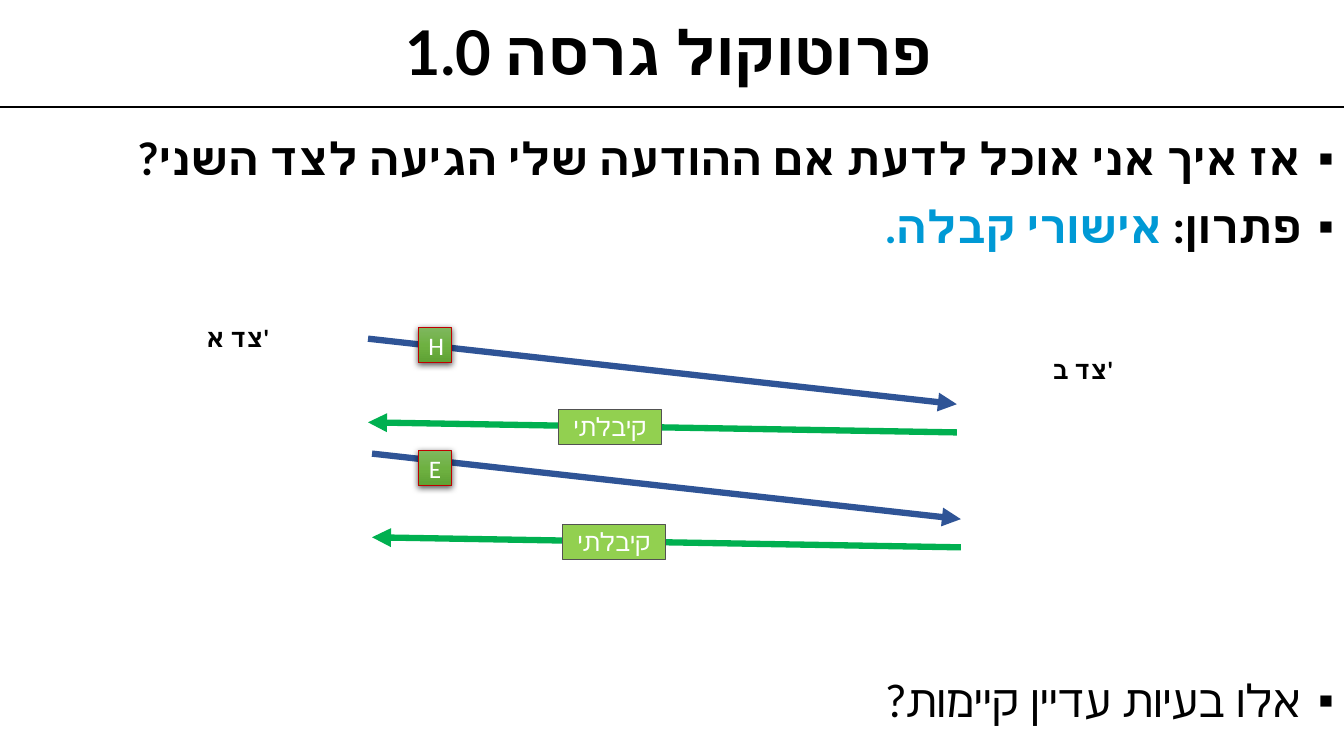
import copy

import lxml.etree
import pptx
import pptx.dml.color
import pptx.enum.shapes
import pptx.enum.text
import pptx.oxml.ns
import pptx.util

Inches = pptx.util.Inches
Pt = pptx.util.Pt
RGBColor = pptx.dml.color.RGBColor
qn = pptx.oxml.ns.qn
ALIGN = pptx.enum.text.PP_ALIGN
ANCHOR = pptx.enum.text.MSO_ANCHOR

BLACK = RGBColor(0x00, 0x00, 0x00)
WHITE = RGBColor(0xFF, 0xFF, 0xFF)
ACCENT = RGBColor(0x00, 0x99, 0xD5)
MESSAGE_BLUE = RGBColor(0x2F, 0x54, 0x96)
REPLY_GREEN = RGBColor(0x00, 0xB0, 0x50)
REPLY_FILL = RGBColor(0x92, 0xD0, 0x50)
REPLY_BORDER = RGBColor(0x52, 0x52, 0x52)
LETTER_BORDER = RGBColor(0xC0, 0x00, 0x00)
LETTER_STOPS = [
    (0, RGBColor(0x7F, 0xB7, 0x5F)),
    (0.5, RGBColor(0x6E, 0xB1, 0x41)),
    (1, RGBColor(0x5F, 0xA1, 0x34)),
]


class ProtocolSlide:
    heading_font = "Lato"
    label_font = "Calibri"

    def __init__(self, presentation):
        self.slide = presentation.slides.add_slide(presentation.slide_layouts[1])

    def format_run(self, run, name, size, color, bold=False):
        run.font.name = name
        run.font.size = Pt(size)
        run.font.bold = bold
        run.font.color.rgb = color
        complex_font = lxml.etree.SubElement(run.font._element, qn("a:cs"))
        complex_font.set("typeface", name)

    def place(self, shape, left, top, width, height, anchor):
        shape.left, shape.top = Inches(left), Inches(top)
        shape.width, shape.height = Inches(width), Inches(height)
        shape.text_frame.auto_size = pptx.enum.text.MSO_AUTO_SIZE.NONE
        shape.text_frame.vertical_anchor = anchor

    def title(self, text):
        title = self.slide.shapes.title
        self.place(title, 0, 0.04, 13.26, 1.02, ANCHOR.MIDDLE)
        title.text_frame.text = text
        paragraph = title.text_frame.paragraphs[0]
        paragraph._p.get_or_add_pPr().set("rtl", "1")
        paragraph.alignment = ALIGN.CENTER
        paragraph.line_spacing = 0.9
        self.format_run(paragraph.runs[0], self.heading_font, 44, BLACK, True)

    def bullets(self, items):
        body = self.slide.placeholders[1]
        self.place(body, 0, 1.25, 13.33, 6.1, ANCHOR.TOP)
        body.text_frame.text = "\n".join("" for item in items)
        for paragraph, (space, runs) in zip(body.text_frame.paragraphs, items):
            properties = paragraph._p.get_or_add_pPr()
            properties.set("rtl", "1")
            properties.set("marL", str(Inches(0.32)))
            properties.set("marR", "0")
            properties.set("indent", str(-Inches(0.32)))
            bullet_color = lxml.etree.SubElement(properties, qn("a:buClr"))
            lxml.etree.SubElement(bullet_color, qn("a:srgbClr")).set("val", str(BLACK))
            lxml.etree.SubElement(properties, qn("a:buFont")).set("typeface", "Arial")
            lxml.etree.SubElement(properties, qn("a:buChar")).set("char", "▪")
            paragraph.alignment = ALIGN.RIGHT
            paragraph.line_spacing = 1.0
            paragraph.space_before = Pt(space)
            for text, color, bold in runs:
                run = paragraph.add_run()
                run.text = text
                self.format_run(run, self.heading_font, 32, color, bold)

    def line(self, start, end, color, width, arrow=False):
        connector = self.slide.shapes.add_connector(
            pptx.enum.shapes.MSO_CONNECTOR.STRAIGHT,
            *(Inches(value) for value in (*start, *end)))
        connector.line.color.rgb = color
        connector.line.width = Pt(width)
        properties = connector._element.spPr
        if arrow:
            outline = properties.find(qn("a:ln"))
            lxml.etree.SubElement(outline, qn("a:tailEnd")).set("type", "triangle")
        lxml.etree.SubElement(properties, qn("a:effectLst"))

    def box(self, text, left, top, width, height, fill, border=None,
            color=WHITE, bold=False):
        shape = self.slide.shapes.add_shape(
            pptx.enum.shapes.MSO_SHAPE.RECTANGLE,
            *(Inches(value) for value in (left, top, width, height)))
        shape.shadow.inherit = False
        shape.fill.solid()
        shape.fill.fore_color.rgb = fill
        if border is None:
            shape.line.fill.background()
        else:
            shape.line.color.rgb = border
            shape.line.width = Pt(0.75)
        shape.text_frame.text = text
        shape.text_frame.vertical_anchor = ANCHOR.MIDDLE
        paragraph = shape.text_frame.paragraphs[0]
        paragraph.alignment = ALIGN.CENTER
        self.format_run(paragraph.runs[0], self.label_font, 18, color, bold)
        return shape

    def letter(self, text, left, top):
        shape = self.box(text, left, top, 0.33, 0.35, WHITE, LETTER_BORDER)
        shape.fill.gradient()
        shape.fill.gradient_angle = 270
        properties = shape._element.spPr
        stop_list = properties.find(".//" + qn("a:gsLst"))
        stop_list.insert(1, copy.deepcopy(stop_list[0]))
        for stop, (position, color) in zip(shape.fill.gradient_stops, LETTER_STOPS):
            stop.position = position
            stop.color.rgb = color
        effects = properties.find(qn("a:effectLst"))
        shadow = lxml.etree.SubElement(effects, qn("a:outerShdw"))
        shadow.set("blurRad", str(Pt(4.5)))
        shadow.set("dist", str(Pt(1.5)))
        shadow.set("dir", "5400000")
        shadow.set("rotWithShape", "0")
        shadow_color = lxml.etree.SubElement(shadow, qn("a:srgbClr"))
        shadow_color.set("val", str(BLACK))
        lxml.etree.SubElement(shadow_color, qn("a:alpha")).set("val", "63000")

    def exchange(self, left, top):
        right = left + 5.84
        self.line((left, top), (right, top + 0.65), MESSAGE_BLUE, 4.5, True)
        self.line((right, top + 0.93), (left, top + 0.83), REPLY_GREEN, 4.5, True)
        self.box("קיבלתי", left + 1.89, top + 0.7, 1.02, 0.35, REPLY_FILL, REPLY_BORDER)


def main():
    presentation = pptx.Presentation()
    presentation.slide_width = Inches(13.33)
    presentation.slide_height = Inches(7.5)
    page = ProtocolSlide(presentation)
    page.line((0, 1.06), (13.33, 1.06), BLACK, 1)
    page.title("פרוטוקול גרסה 1.0")
    page.bullets([
        (0, [("אז איך אני אוכל לדעת אם ההודעה שלי הגיעה לצד השני?", BLACK, True)]),
        (10, [("פתרון: ", BLACK, True), ("אישורי קבלה.", ACCENT, True)]),
        (300, [("אלו בעיות עדיין קיימות?", BLACK, False)]),
    ])
    for side, left, top in [("צד א'", 1.58, 3.16), ("צד ב'", 9.96, 3.48)]:
        page.box(side, left, top, 1.56, 0.37, WHITE, color=BLACK, bold=True)
    for index, character in enumerate("HE"):
        page.exchange(3.65 + 0.04 * index, 3.36 + 1.14 * index)
        page.letter(character, 4.15, 3.25 + 1.22 * index)
    presentation.save("out.pptx")


if __name__ == "__main__":
    main()
